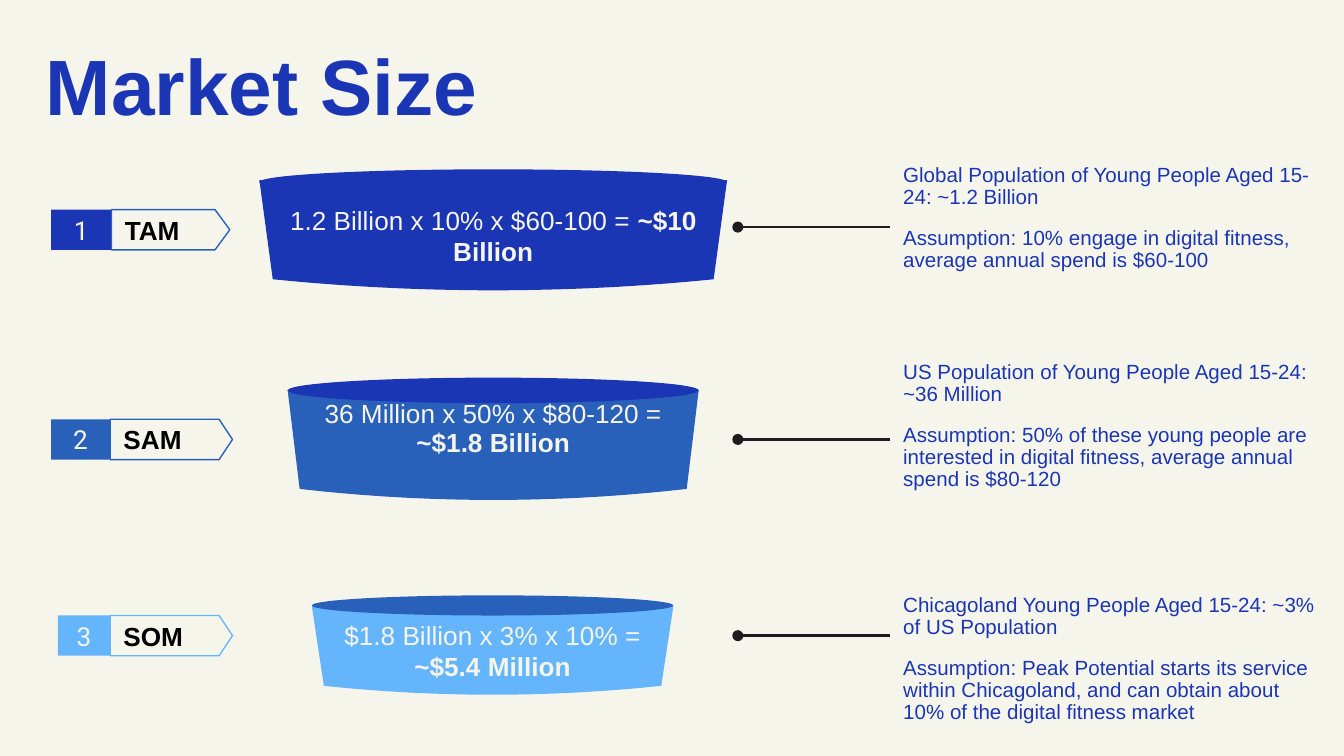
from dataclasses import dataclass

from lxml.etree import SubElement
from pptx import Presentation
from pptx.dml.color import RGBColor
from pptx.enum.shapes import MSO_CONNECTOR, MSO_SHAPE
from pptx.enum.text import MSO_ANCHOR, PP_ALIGN
from pptx.oxml.ns import qn
from pptx.util import Inches, Pt


@dataclass(frozen=True)
class Theme:
    cream: str = "F6F5EC"
    navy: str = "1A36B4"
    blue: str = "2960B9"
    sky: str = "64B5FC"
    black: str = "000000"
    line: str = "1D1D1D"
    font: str = "Arial"
    number_font: str = "Roboto"
    title_size: int = 42
    label_size: int = 14
    note_size: int = 11


THEME = Theme()


@dataclass(frozen=True)
class Market:
    name: str
    color: str
    lid_color: str
    outline: str
    tag: tuple  # number left, arrow left, notch, tip, top
    bowl: tuple  # left, top, width, height
    lid: tuple  # top, height
    corner_inset: float
    formula: str
    result: str
    line_spacing: float
    bowl_bottom_margin: float
    pointer_y: float
    note_box: tuple  # top, height
    note_bottom_margin: float
    notes: tuple


MARKETS = (
    Market("TAM", THEME.navy, THEME.navy, THEME.blue,
           (0.38, 0.83, 1.6, 1.71, 1.56), (1.93, 1.34, 3.48, 0.82), (1.26, 0.19), 0.1,
           "1.2 Billion x 10% x $60-100 = ", "~$10 Billion", 1.0, 0.1,
           1.69, (1.19, 1.06), 0.29,
           ("Global Population of Young People Aged 15-24: ~1.2 Billion",
            "Assumption: 10% engage in digital fitness, average annual spend is $60-100")),
    Market("SAM", THEME.blue, THEME.navy, THEME.blue,
           (0.38, 0.82, 1.63, 1.73, 3.12), (2.14, 2.9, 3.06, 0.82), (2.81, 0.19), 0.09,
           "36 Million x 50% x $80-120 = ", "~$1.8 Billion", 0.9, 0.33,
           3.27, (2.64, 1.25), 0.29,
           ("US Population of Young People Aged 15-24: ~36 Million",
            "Assumption: 50% of these young people are interested in digital fitness, "
            "average annual spend is $80-120")),
    Market("SOM", THEME.sky, THEME.blue, THEME.sky,
           (0.43, 0.82, 1.63, 1.73, 4.58), (2.32, 4.51, 2.69, 0.66), (4.43, 0.15), 0.09,
           "$1.8 Billion x 3% x 10% = ", "~$5.4 Million", 1.0, 0.1,
           4.73, (4.25, 1.31), 0.1,
           ("Chicagoland Young People Aged 15-24: ~3% of US Population",
            "Assumption: Peak Potential starts its service within Chicagoland, "
            "and can obtain about 10% of the digital fitness market")),
)


def rgb(color):
    return RGBColor.from_string(color)


def paint(shape, fill, outline=None):
    shape.shadow.inherit = False
    shape.fill.solid()
    shape.fill.fore_color.rgb = rgb(fill)
    if outline:
        shape.line.color.rgb = rgb(outline)
        shape.line.width = Pt(0.75)
    else:
        shape.line.fill.background()


def set_frame(shape, left=0.1, right=0.1, bottom=0.1):
    frame = shape.text_frame
    frame.word_wrap = True
    frame.vertical_anchor = MSO_ANCHOR.MIDDLE
    frame.margin_left, frame.margin_right = Inches(left), Inches(right)
    frame.margin_top, frame.margin_bottom = Inches(0.1), Inches(bottom)
    return frame


def style(span, size, color, bold=False, font=THEME.font):
    span.font.name = font
    span.font.size = Pt(size)
    span.font.bold = bold
    span.font.color.rgb = rgb(color)


def write_label(shape, text, align, **look):
    para = set_frame(shape).paragraphs[0]
    para.text = text
    para.alignment = align
    style(para.runs[0], **look)


def add_outline(page, points, fill, outline=None):
    corners = [(Inches(x), Inches(y)) for x, y in points]
    builder = page.shapes.build_freeform(*corners[0])
    builder.add_line_segments(corners[1:], close=True)
    shape = builder.convert_to_shape()
    paint(shape, fill, outline)
    return shape


def sagging_edge(start, end, y, sag, steps=32):
    """Points of a parabola that hangs by sag between start and end."""
    return [(start + (end - start) * i / steps,
             y + sag * (1 - (2 * i / steps - 1) ** 2)) for i in range(steps + 1)]


def add_tag(page, number, market):
    left, middle, notch, tip, top = market.tag
    height = 0.3
    bottom = top + height
    box = page.shapes.add_shape(MSO_SHAPE.RECTANGLE, Inches(left), Inches(top),
                                Inches(middle - left), Inches(height))
    paint(box, market.color)
    write_label(box, str(number), PP_ALIGN.CENTER, size=THEME.label_size,
                color=THEME.cream, font=THEME.number_font)
    arrow = add_outline(page, [(middle, top), (middle, bottom), (notch, bottom),
                               (tip, top + height / 2), (notch, top)],
                        THEME.cream, market.outline)
    write_label(arrow, market.name, PP_ALIGN.LEFT, size=THEME.label_size,
                color=THEME.black, bold=True)


def add_bowl(page, market):
    left, top, width, height = market.bowl
    right, sag, inset = left + width, height * 0.1, market.corner_inset
    rim = sagging_edge(left, right, top, sag * 0.9)
    base = sagging_edge(right - inset, left + inset, top + height - sag, sag)
    bowl = add_outline(page, rim + base, market.color)
    frame = set_frame(bowl, bottom=market.bowl_bottom_margin)
    para = frame.paragraphs[0]
    para.text = market.formula
    para.alignment = PP_ALIGN.CENTER
    para.line_spacing = market.line_spacing
    para.add_run().text = market.result
    for span, bold in zip(para.runs, (False, True)):
        style(span, THEME.label_size, THEME.cream, bold)

    lid_top, lid_height = market.lid
    lid = page.shapes.add_shape(MSO_SHAPE.OVAL, Inches(left), Inches(lid_top),
                                Inches(width), Inches(lid_height))
    paint(lid, market.lid_color)


def add_pointer(page, y):
    pointer = page.shapes.add_connector(MSO_CONNECTOR.STRAIGHT, Inches(6.62), Inches(y),
                                        Inches(5.49), Inches(y))
    pointer.line.color.rgb = rgb(THEME.line)
    pointer.line.width = Pt(1.5)
    properties = pointer._element.spPr
    SubElement(properties.find(qn("a:ln")), qn("a:tailEnd"), type="oval")
    SubElement(properties, qn("a:effectLst"))


def add_notes(page, market):
    top, height = market.note_box
    box = page.shapes.add_textbox(Inches(6.52), Inches(top), Inches(3.48), Inches(height))
    frame = set_frame(box, left=0.2, right=0.15, bottom=market.note_bottom_margin)
    frame.text = "\n".join(market.notes)
    for index, para in enumerate(frame.paragraphs):
        para.line_spacing = 0.9
        para.space_before = Pt(10 if index else 0)
        style(para.runs[0], THEME.note_size, THEME.navy)


def add_title(page):
    box = page.shapes.add_textbox(Inches(0.07), Inches(0.36), Inches(3.75), Inches(0.53))
    write_label(box, "Market Size", PP_ALIGN.CENTER, size=THEME.title_size,
                color=THEME.navy, bold=True)


def main():
    deck = Presentation()
    deck.slide_width = Inches(10)
    deck.slide_height = deck.slide_width * 9 // 16
    page = deck.slides.add_slide(deck.slide_layouts[6])
    page.background.fill.solid()
    page.background.fill.fore_color.rgb = rgb(THEME.cream)

    add_title(page)
    for number, market in enumerate(MARKETS, start=1):
        add_tag(page, number, market)
        add_bowl(page, market)
        add_pointer(page, market.pointer_y)
        add_notes(page, market)
    deck.save("out.pptx")


if __name__ == "__main__":
    main()
